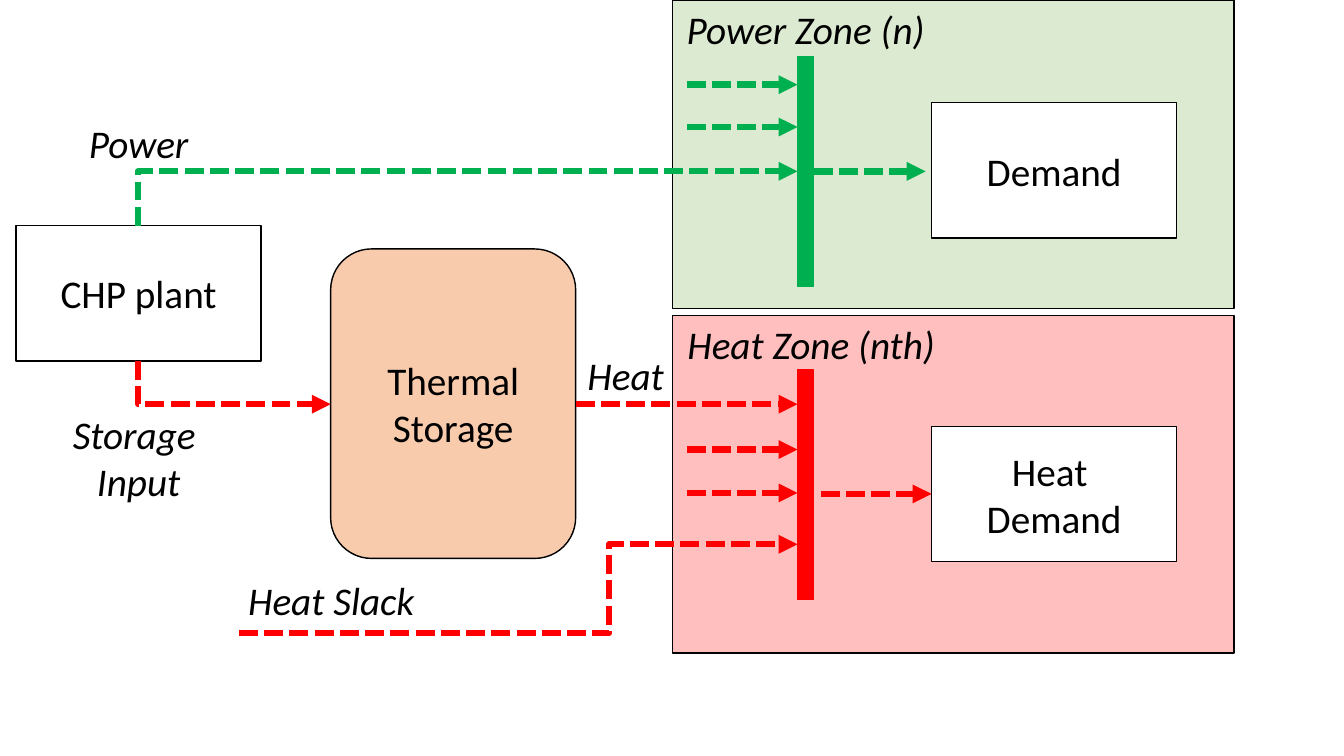
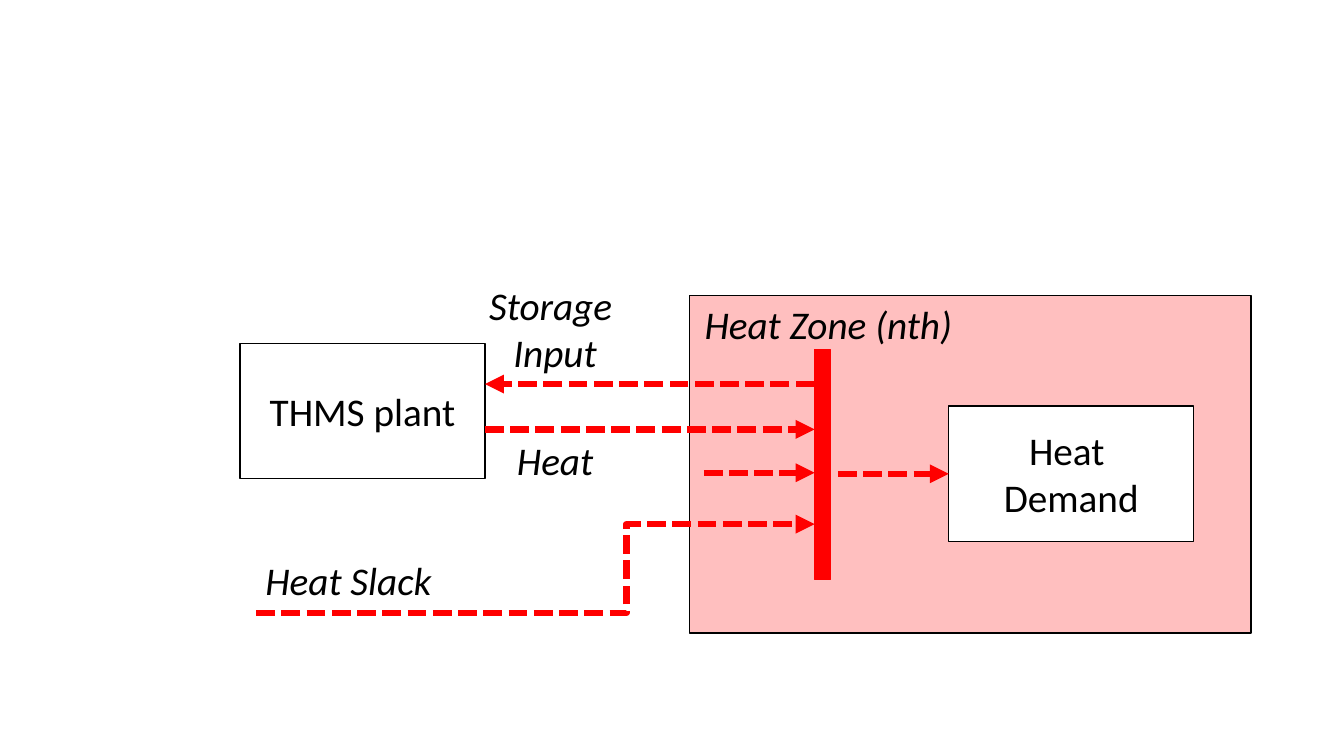
from lxml import etree
from pptx import Presentation
from pptx import util as u
from pptx.dml.color import RGBColor
from pptx.enum import dml, shapes, text
from pptx.oxml.ns import qn

# The grid has one-inch columns and rows.
COLUMNS, ROWS = 13.33, 7.5
BLACK, WHITE, GREEN, RED = "000000", "FFFFFF", "00B050", "FF0000"
PALE_GREEN, PEACH = "70AD47", "F8CBAD"
FONT, TEXT_SIZE = "Calibri", 28
BOX_WIDTH, BOX_HEIGHT = 2.43, 1.34
ZONE_WIDTH, BAR_LEFT, BAR_WIDTH, BAR_HEIGHT = 5.57, 1.24, 0.16, 2.28
FEED_LEFT, DEMAND_LEFT = 0.14, 2.57
LABEL_HEIGHT = 0.57


def colour(value):
    """Turn a hex string into a colour."""
    return RGBColor.from_string(value)


def cells(*lengths):
    """Turn grid columns or rows into slide lengths."""
    return [u.Inches(length) for length in lengths]


class Diagram:
    """Draws energy flow diagrams in one style on the current page."""

    def __init__(self):
        """Start a deck with the page size of the grid."""
        self.deck = Presentation()
        self.deck.slide_width, self.deck.slide_height = cells(COLUMNS, ROWS)
        self.page = None

    def new_page(self):
        """Add a blank page and make it current."""
        self.page = self.deck.slides.add_slide(self.deck.slide_layouts[6])

    def set_words(self, frame, words, italic=False):
        """Put centred words in a text frame."""
        frame.word_wrap = True
        frame.text = words
        for para in frame.paragraphs:
            para.alignment = text.PP_ALIGN.CENTER
            for span in para.runs:
                span.font.name, span.font.size = FONT, u.Pt(TEXT_SIZE)
                span.font.italic = italic
                span.font.color.rgb = colour(BLACK)

    def box(self, left, top, width=BOX_WIDTH, height=BOX_HEIGHT, words="",
            fill=WHITE, line=BLACK, opacity=100, rounded=False):
        """Draw an outlined box with optional words."""
        kind = shapes.MSO_SHAPE.ROUNDED_RECTANGLE if rounded else shapes.MSO_SHAPE.RECTANGLE
        box = self.page.shapes.add_shape(kind, *cells(left, top, width, height))
        box.shadow.inherit = False
        box.fill.solid()
        box.fill.fore_color.rgb = colour(fill)
        if opacity < 100:
            tint = box.element.spPr.find(qn("a:solidFill"))[0]
            etree.SubElement(tint, qn("a:alpha"), val=str(opacity * 1000))
        box.line.color.rgb = colour(line)
        box.line.width = u.Pt(1)
        if words:
            box.text_frame.vertical_anchor = text.MSO_ANCHOR.MIDDLE
            self.set_words(box.text_frame, words)

    def label(self, left, top, width, words, height=LABEL_HEIGHT):
        """Add an italic label."""
        box = self.page.shapes.add_textbox(*cells(left, top, width, height))
        self.set_words(box.text_frame, words, italic=True)
        box.text_frame.auto_size = text.MSO_AUTO_SIZE.SHAPE_TO_FIT_TEXT

    def arrow(self, start, end, line=RED, kind=shapes.MSO_CONNECTOR.STRAIGHT):
        """Draw a dashed arrow and return it."""
        arrow = self.page.shapes.add_connector(kind, *cells(*start, *end))
        arrow.line.color.rgb = colour(line)
        arrow.line.width = u.Pt(4.5)
        arrow.line.dash_style = dml.MSO_LINE.SQUARE_DOT
        properties = arrow.element.spPr
        etree.SubElement(properties.find(qn("a:ln")), qn("a:tailEnd"), type="triangle")
        etree.SubElement(properties, qn("a:effectLst"))
        return arrow

    def step_arrow(self, start, end, share):
        """Draw an arrow that changes rows after a share of its width."""
        arrow = self.arrow(start, end, kind=shapes.MSO_CONNECTOR.ELBOW)
        guides = arrow.element.spPr.find(qn("a:prstGeom")).find(qn("a:avLst"))
        etree.SubElement(guides, qn("a:gd"), name="adj1", fmla=f"val {round(share * 100000)}")

    def corner_arrow(self, start, end, line):
        """Draw an arrow that leaves vertically and then turns right."""
        (left, top), (right, bottom) = start, end
        middle_x, middle_y = (left + right) / 2, (top + bottom) / 2
        across, along = abs(bottom - top) / 2, (right - left) / 2
        upward = bottom < top
        shift = along if upward else -along
        arrow = self.arrow((middle_x + across, middle_y + shift),
                           (middle_x - across, middle_y - shift),
                           line, shapes.MSO_CONNECTOR.ELBOW)
        properties = arrow.element.spPr
        properties.find(qn("a:prstGeom")).set("prst", "bentConnector2")
        properties.find(qn("a:xfrm")).set("rot", str((90 if upward else 270) * 60000))

    def zone(self, left, top, height, name, name_width, fill, line, bar_top,
             demand, demand_top, feeds):
        """Draw a zone with its name, bar, demand box and feeding arrows."""
        self.box(left, top, ZONE_WIDTH, height, fill=fill, opacity=25)
        self.label(left + 0.01, top, name_width, name)
        self.box(left + DEMAND_LEFT, top + demand_top, words=demand)
        bar = left + BAR_LEFT
        self.box(bar, top + bar_top, BAR_WIDTH, BAR_HEIGHT, fill=line, line=line)
        for row in feeds:
            self.arrow((left + FEED_LEFT, top + row), (bar, top + row), line)

    def heat_zone(self, left, top, feeds):
        """Draw the heat zone with its demand and slack flows."""
        self.zone(left, top, 3.35, "Heat Zone (nth)", 2.73, RED, RED, 0.54,
                  "Heat \nDemand", 1.1, feeds)
        self.arrow((left + 1.47, top + 1.77), (left + DEMAND_LEFT, top + 1.77))
        self.step_arrow((left - 4.3, top + 3.15), (left + BAR_LEFT, top + 2.27), 0.663)
        self.label(left - 5.07, top + 2.54, 3.37, "Heat Slack")

    def storage_label(self, left, top):
        """Add the two-row storage label."""
        self.label(left, top, 2.27, "Storage \nInput", 1.04)


def draw_chp(diagram):
    """Draw the plant that feeds a power zone and a heat zone."""
    diagram.new_page()
    zone_left, plant_left, plant_top = 6.67, 0.16, 2.24
    bar, plant_middle = zone_left + BAR_LEFT, 1.37
    power_row, heat_row, storage_left = 1.7, 4.01, 3.28
    diagram.zone(zone_left, 0, 3.06, "Power Zone (n)", 2.62, PALE_GREEN, GREEN, 0.56,
                 "Demand", 1.02, (0.84, 1.26))
    diagram.arrow((bar + BAR_WIDTH, power_row), (9.18, power_row), GREEN)
    diagram.heat_zone(zone_left, 3.13, (1.33, 1.76))
    diagram.box(plant_left, plant_top, words="CHP plant")
    diagram.box(storage_left, 2.47, height=3.07, words="Thermal Storage", fill=PEACH, rounded=True)
    diagram.corner_arrow((plant_middle, plant_top), (bar, power_row), GREEN)
    diagram.corner_arrow((plant_middle, plant_top + BOX_HEIGHT), (storage_left, heat_row), RED)
    diagram.arrow((storage_left + BOX_WIDTH, heat_row), (bar, heat_row))
    diagram.storage_label(0.24, 4.02)
    diagram.label(0.38, 1.13, 1.99, "Power")
    diagram.label(5.27, 3.44, 1.87, "Heat")


def draw_thms(diagram):
    """Draw the plant that trades heat with a heat zone."""
    diagram.new_page()
    zone_left, plant_left = 6.84, 2.38
    bar, plant_right = zone_left + BAR_LEFT, plant_left + BOX_WIDTH
    diagram.heat_zone(zone_left, 2.93, (1.76,))
    diagram.box(plant_left, 3.41, words="THMS plant")
    diagram.arrow((bar, 3.81), (plant_right, 3.81))
    diagram.arrow((plant_right, 4.26), (bar, 4.26))
    diagram.storage_label(4.37, 2.74)
    diagram.label(4.57, 4.28, 1.87, "Heat")


diagram = Diagram()
draw_chp(diagram)
draw_thms(diagram)
diagram.deck.save("out.pptx")
